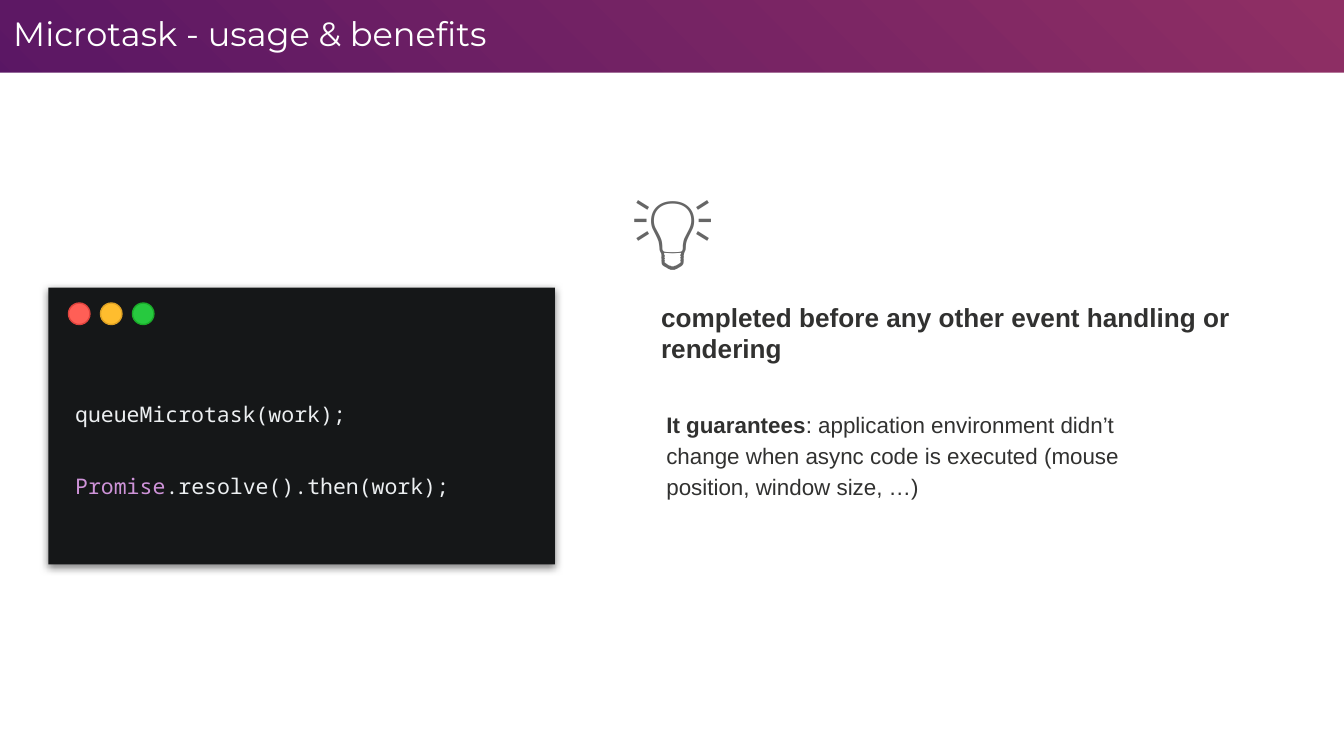
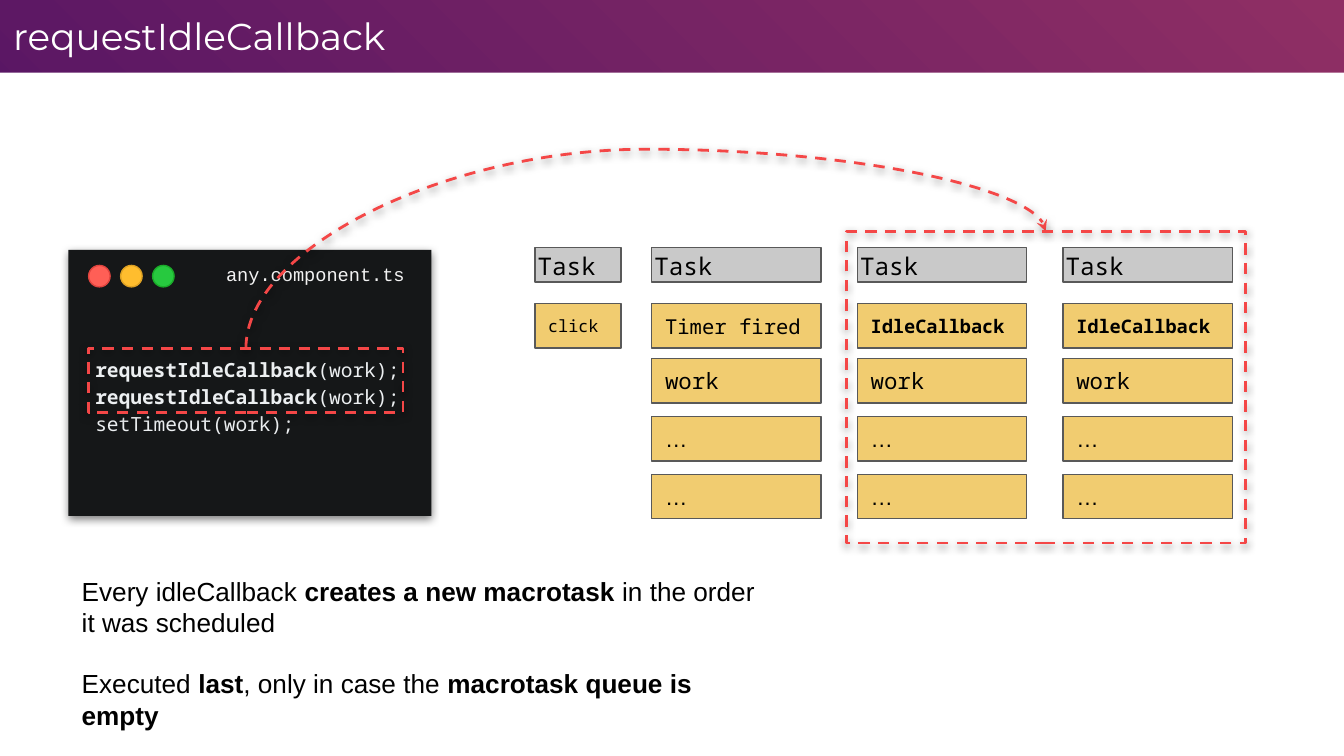
from dataclasses import dataclass
from typing import NamedTuple, Optional

from lxml import etree
from pptx import Presentation
from pptx.dml.color import RGBColor
from pptx.enum.dml import MSO_LINE
from pptx.enum.shapes import MSO_CONNECTOR, MSO_SHAPE
from pptx.enum.text import MSO_ANCHOR, PP_ALIGN
from pptx.oxml import parse_xml
from pptx.oxml.ns import qn
from pptx.util import Inches, Pt

RECTANGLE, ELLIPSE = MSO_SHAPE.RECTANGLE, MSO_SHAPE.OVAL
CURVE = MSO_CONNECTOR.CURVE
DASH = MSO_LINE.DASH
TOP, MIDDLE = MSO_ANCHOR.TOP, MSO_ANCHOR.MIDDLE
LEFT, RIGHT = PP_ALIGN.LEFT, PP_ALIGN.RIGHT

SLIDE_WIDTH, SLIDE_HEIGHT = Inches(10), Inches(5.625)
COLUMNS, ROWS = 100, 56.25
BAND_ROWS = 5.4
NAMESPACES = (
    'xmlns:a="http://schemas.openxmlformats.org/drawingml/2006/main" '
    'xmlns:p="http://schemas.openxmlformats.org/presentationml/2006/main"'
)


@dataclass(frozen=True)
class Theme:
    band: tuple = ((0, "8F2F64"), (64, "5D1864"), (100, "2B0163"))
    paper: str = "FFFFFF"
    ink: str = "000000"
    soft_ink: str = "313130"
    icon: str = "666666"
    window: str = "151718"
    code: str = "ECEFF1"
    keyword: str = "CE93D8"
    file_name: str = "F3F3F3"
    buttons: tuple = (("FF5F56", "E0443E"), ("FFBD2E", "DEA123"), ("27C93F", "1AAB29"))
    task: str = "C9C9C9"
    job: str = "EFC457"
    border: str = "595959"
    accent: str = "F44747"
    title_font: str = "Montserrat"
    body_font: str = "Arial"
    code_font: str = "Noto Sans Mono"
    file_font: str = "Courier New"
    icon_font: str = "Karla"
    hairline: float = 0.75
    highlight_line: float = 1.5
    title_size: float = 18
    large_title_size: float = 20
    statement_size: float = 14
    detail_size: float = 12
    code_size: float = 11.5
    small_code_size: float = 10.5
    task_size: float = 13
    click_size: float = 9
    timer_size: float = 11
    idle_size: float = 10
    file_size: float = 10
    icon_size: float = 43


class Run(NamedTuple):
    text: str
    bold: Optional[bool] = None
    color: Optional[str] = None


class Deck:
    def __init__(self, theme):
        self.theme = theme
        self.presentation = Presentation()
        self.presentation.slide_width = SLIDE_WIDTH
        self.presentation.slide_height = SLIDE_HEIGHT
        self.slide = None

    def x(self, columns):
        return round(SLIDE_WIDTH * columns / COLUMNS)

    def y(self, rows):
        return round(SLIDE_HEIGHT * rows / ROWS)

    def box(self, left, top, width, height):
        return self.x(left), self.y(top), self.x(width), self.y(height)

    def start_slide(self, title, size):
        layout = self.presentation.slide_layouts[6]
        self.slide = self.presentation.slides.add_slide(layout)
        stops = "".join(
            f'<a:gs pos="{share * 1000}"><a:srgbClr val="{color}"/></a:gs>'
            for share, color in self.theme.band
        )
        self.slide._element.cSld.insert(0, parse_xml(
            f'<p:bg {NAMESPACES}><p:bgPr><a:gradFill><a:gsLst>{stops}</a:gsLst>'
            '<a:path path="circle"><a:fillToRect l="100000" b="100000"/></a:path>'
            '</a:gradFill><a:effectLst/></p:bgPr></p:bg>'
        ))
        self.shape((0, BAND_ROWS, COLUMNS, ROWS - BAND_ROWS), self.theme.paper)
        self.text((0, 0, 90.1, BAND_ROWS), [[Run(title)]], self.theme.title_font,
                  size, self.theme.paper)

    def cast_shadow(self, element):
        properties = element._element.spPr
        for effects in properties.findall(qn("a:effectLst")):
            properties.remove(effects)
        properties.append(parse_xml(
            f'<a:effectLst {NAMESPACES}><a:outerShdw blurRad="{Pt(4.5)}" '
            f'dist="{Pt(1.5)}" dir="5400000" algn="bl" rotWithShape="0">'
            '<a:srgbClr val="000000"><a:alpha val="50000"/></a:srgbClr>'
            '</a:outerShdw></a:effectLst>'
        ))

    def shape(self, place, fill=None, border=None, kind=RECTANGLE, opacity=100):
        shape = self.slide.shapes.add_shape(kind, *self.box(*place))
        shape.shadow.inherit = False
        if fill:
            shape.fill.solid()
            shape.fill.fore_color.rgb = RGBColor.from_string(fill)
        else:
            shape.fill.background()
        if opacity < 100:
            color = shape._element.spPr.find(f".//{qn('a:srgbClr')}")
            etree.SubElement(color, qn("a:alpha"), val=str(opacity * 1000))
        if border:
            shape.line.color.rgb = RGBColor.from_string(border)
            shape.line.width = Pt(self.theme.hairline)
        else:
            shape.line.fill.background()
        return shape

    def label(self, holder, paragraphs, font, size, color, insets=(1, 1, 1, 1),
              anchor=TOP, align=LEFT, bold=False, spacing=1.0, gap=0):
        frame = holder.text_frame
        frame.word_wrap = True
        frame.vertical_anchor = anchor
        frame.margin_left, frame.margin_right = map(self.x, insets[::2])
        frame.margin_top, frame.margin_bottom = map(self.y, insets[1::2])
        for index, runs in enumerate(paragraphs):
            paragraph = frame.add_paragraph() if index else frame.paragraphs[0]
            paragraph.alignment = align
            paragraph.line_spacing = spacing
            paragraph.space_before = Pt(gap if index else 0)
            paragraph.font.name = font
            paragraph.font.size = Pt(size)
            paragraph.font.bold = bold
            paragraph.font.color.rgb = RGBColor.from_string(color)
            for part in runs:
                run = paragraph.add_run()
                run.text = part.text
                if part.bold is not None:
                    run.font.bold = part.bold
                if part.color:
                    run.font.color.rgb = RGBColor.from_string(part.color)

    def text(self, place, paragraphs, font, size, color, **style):
        holder = self.slide.shapes.add_textbox(*self.box(*place))
        self.label(holder, paragraphs, font, size, color, **style)

    def code_window(self, place, header, code, size, spacing, gap=0):
        left, top, width, height = place
        self.cast_shadow(self.shape(place, self.theme.window))
        self.text((left, top + header, width, height - header), code,
                  self.theme.code_font, size, self.theme.code, insets=(2, 1, 2, 2),
                  anchor=MIDDLE, spacing=spacing, gap=gap)
        for index, (fill, border) in enumerate(self.theme.buttons):
            self.shape((left + 1.5 + 2.38 * index, top + 1.15, 1.6, 1.6),
                       fill, border, ELLIPSE)

    def task(self, left, width):
        header = self.shape((left, 18.4, width, 2.6), self.theme.task, self.theme.border)
        self.label(header, [[Run("Task")]], self.theme.code_font, self.theme.task_size,
                   self.theme.ink, insets=(0.2, 0.2, 0, 0), anchor=MIDDLE)

    def job(self, left, top, width, name, font, size, bold=False):
        cell = self.shape((left, top, width, 3.3), self.theme.job, self.theme.border,
                          opacity=85)
        self.label(cell, [[Run(name)]], font, size, self.theme.ink,
                   anchor=MIDDLE, bold=bold)

    def dash(self, element):
        element.line.color.rgb = RGBColor.from_string(self.theme.accent)
        element.line.width = Pt(self.theme.highlight_line)
        element.line.dash_style = DASH
        self.cast_shadow(element)

    def highlight(self, place):
        self.dash(self.shape(place))

    def arc(self, start, end, peak):
        (start_x, start_y), (end_x, end_y) = start, end
        rise, run = start_y - end_y, end_x - start_x
        left = (start_x + end_x - rise) / 2
        top = (start_y + end_y - run) / 2
        arc = self.slide.shapes.add_connector(
            CURVE, self.x(left), self.y(top), self.x(left + rise), self.y(top + run))
        arc.rotation = 270
        guides = arc._element.spPr.find(f".//{qn('a:avLst')}")
        bend = round((start_y - peak) / rise * 100000)
        etree.SubElement(guides, qn("a:gd"), name="adj1", fmla=f"val {bend}")
        self.dash(arc)
        outline = arc._element.spPr.find(qn("a:ln"))
        etree.SubElement(outline, qn("a:tailEnd"), type="stealth")


def add_microtask_slide(deck):
    theme = deck.theme
    deck.start_slide("Microtask - usage & benefits", theme.title_size)
    deck.code_window(
        (3.6, 21.4, 37.7, 20.6), 3.6,
        [[Run("queueMicrotask(work);")],
         [Run("Promise", color=theme.keyword), Run(".resolve().then(work);")]],
        size=theme.code_size, spacing=1.5, gap=18)
    deck.text((48.2, 21.4, 45.1, 6.7),
              [[Run("completed before any other event handling or rendering")]],
              theme.body_font, theme.statement_size, theme.soft_ink, bold=True)
    deck.text((48.6, 29.3, 37.7, 8.7),
              [[Run("It guarantees", bold=True),
                Run(": application environment didn’t change when async code is "
                    "executed (mouse position, window size, …)")]],
              theme.body_font, theme.detail_size, theme.soft_ink, spacing=1.15)
    deck.text((46, 12.2, 9.4, 9.3), [[Run("💡")]], theme.icon_font,
              theme.icon_size, theme.icon, bold=True)


def add_idle_callback_slide(deck):
    theme = deck.theme
    deck.start_slide("requestIdleCallback", theme.large_title_size)

    click_left, click_width = 39.8, 6.4
    deck.task(click_left, click_width)
    deck.job(click_left, 22.6, click_width, "click", theme.code_font, theme.click_size)

    queue_left, queue_pitch, queue_width = 48.5, 15.3, 12.6
    idle_trigger = ("IdleCallback", theme.idle_size, True)
    triggers = (("Timer fired", theme.timer_size, False), idle_trigger, idle_trigger)
    steps = (("work", theme.code_font), ("…", theme.body_font), ("…", theme.body_font))
    for column, (trigger, size, bold) in enumerate(triggers):
        left = queue_left + queue_pitch * column
        deck.task(left, queue_width)
        deck.job(left, 22.6, queue_width, trigger, theme.code_font, size, bold)
        for row, (step, font) in enumerate(steps):
            deck.job(left, 26.7 + 4.3 * row, queue_width, step, font, theme.detail_size)

    idle_call = [Run("requestIdleCallback", bold=True), Run("(work);")]
    deck.code_window((5.1, 18.6, 27, 19.8), 2.8,
                     [idle_call, idle_call, [Run("setTimeout(work);")]],
                     size=theme.small_code_size, spacing=1.15)
    deck.text((10.2, 18.4, 21.9, 3.9), [[Run("any.component.ts")]], theme.file_font,
              theme.file_size, theme.file_name, insets=(1, 1, 2, 1),
              anchor=MIDDLE, align=RIGHT)
    deck.text((5.1, 41.8, 52.6, 13.8),
              [[Run("Every idleCallback "), Run("creates a new macrotask", bold=True),
                Run(" in the order it was scheduled")],
               [Run("Executed "), Run("last", bold=True),
                Run(", only in case the "), Run("macrotask queue is empty", bold=True)]],
              theme.body_font, theme.statement_size, theme.ink, gap=16)

    deck.arc((18.3, 25.9), (77.8, 17.2), peak=11.1)
    deck.highlight((6.6, 25.9, 23.4, 4.8))
    deck.highlight((63, 17.2, 29.7, 23.2))


def main():
    deck = Deck(Theme())
    add_microtask_slide(deck)
    add_idle_callback_slide(deck)
    deck.presentation.save("out.pptx")


if __name__ == "__main__":
    main()
